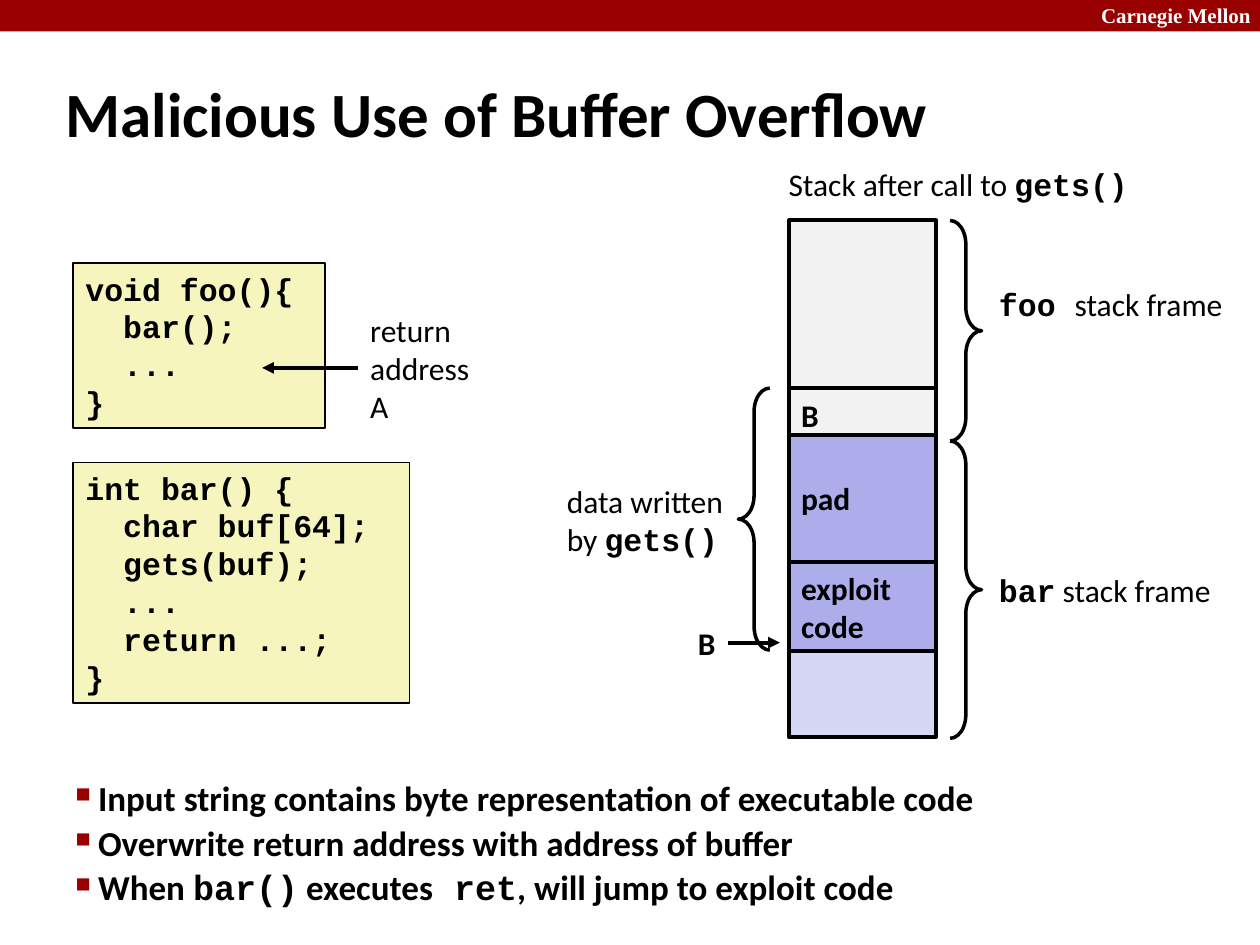
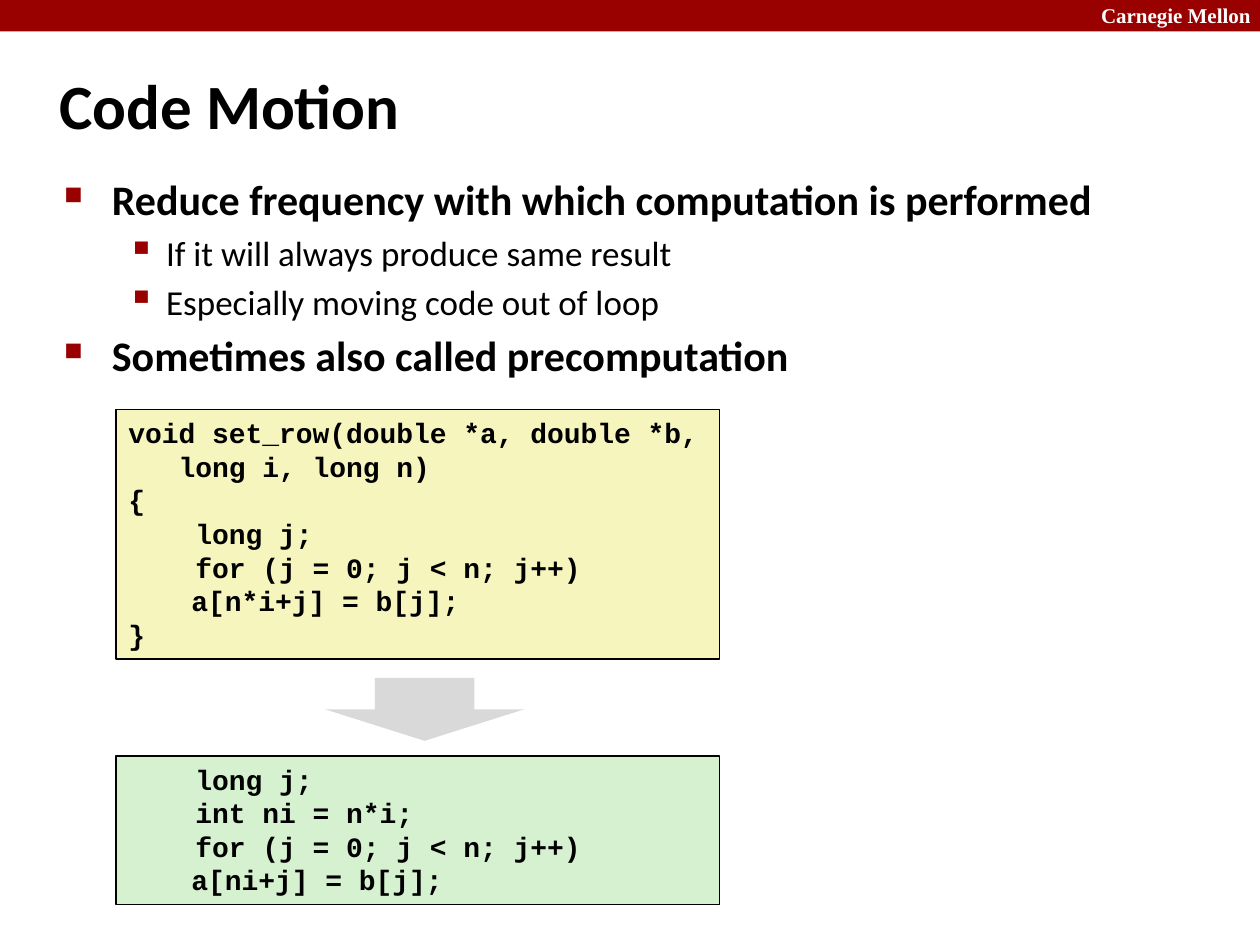
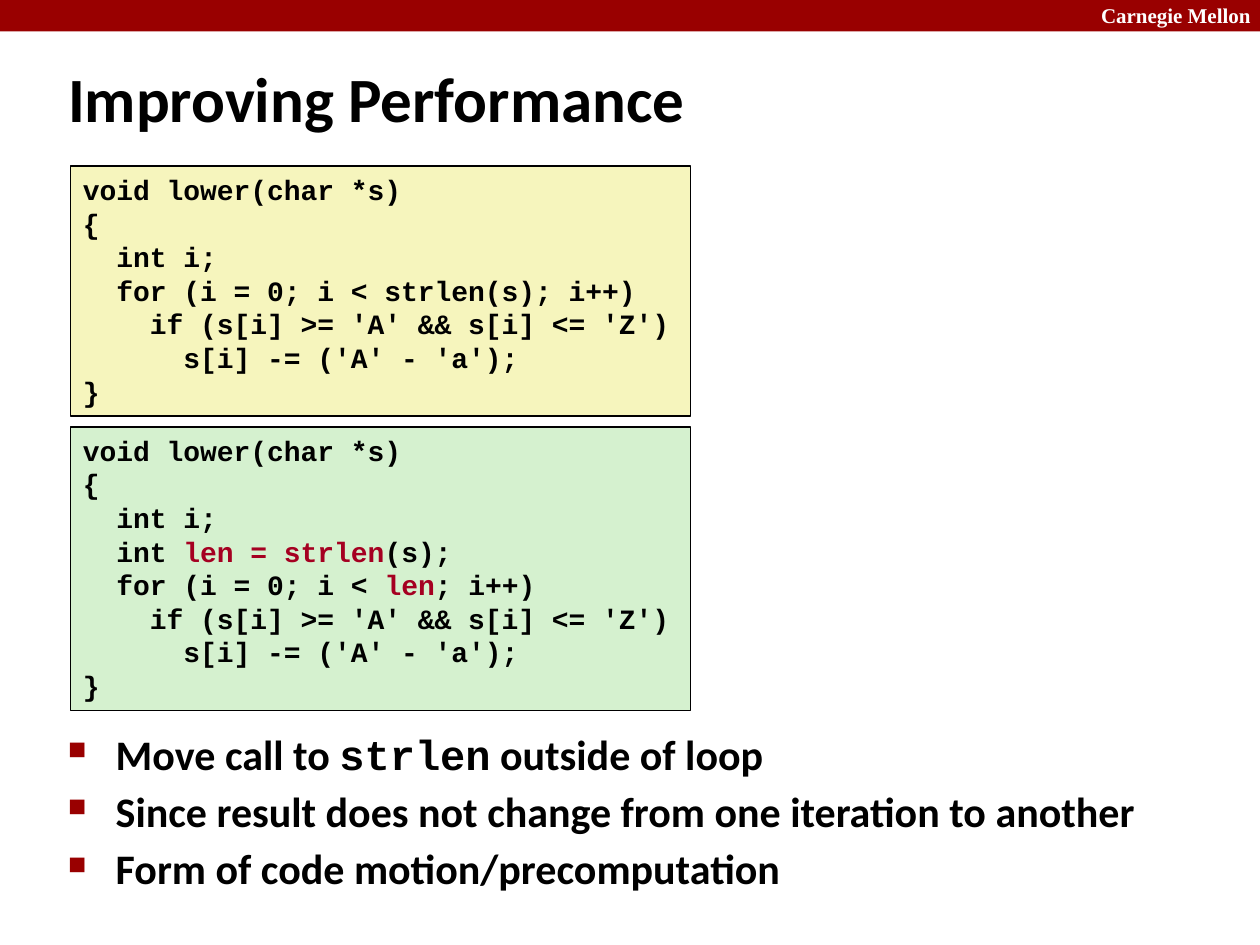
"""Build three lecture slides on buffer overflow and code motion."""
from typing import NamedTuple, Optional

from lxml.etree import SubElement
from pptx import Presentation
from pptx.dml.color import RGBColor
from pptx.enum.shapes import MSO_CONNECTOR, MSO_SHAPE
from pptx.enum.text import MSO_ANCHOR, MSO_AUTO_SIZE, PP_ALIGN
from pptx.oxml.ns import qn
from pptx.util import Pt

PX = 9144
SANS, MONO, SERIF = "Calibri", "Courier New", "Times New Roman"
COLORS = {
    "band": "990000", "white": "FFFFFF", "black": "000000", "accent": "A50021",
    "yellow": "F6F5BD", "green": "D5F1CF", "gray": "F2F2F2", "arrow": "D9D9D9",
    "buffer": "ADADEB", "free": "D6D6F5",
}
CODE_ALT = {"font": MONO, "bold": True}
TEXT_ALT = {"font": SANS, "bold": False}


class Box(NamedTuple):
    """A position and size in px."""
    x: int
    y: int
    w: int
    h: int


class Level(NamedTuple):
    """The look of one bullet level."""
    char: str
    percent: int
    margin: int
    hanging: int
    size: int
    bold: bool


class Code(NamedTuple):
    """A framed block of code."""
    box: Box
    fill: str
    size: int
    lines: list[str]


class Cell(NamedTuple):
    """One region of the stack column."""
    top: int
    height: int
    fill: str
    lines: list[str]


class Label(NamedTuple):
    """A caption whose marked parts take another format."""
    box: Box
    lines: list[str]
    font: str = SANS
    bold: bool = False
    alt: dict = CODE_ALT
    wrap: bool = False
    anchor: MSO_ANCHOR = MSO_ANCHOR.MIDDLE


class Brace(NamedTuple):
    """A curly brace."""
    box: Box
    rotation: int


TOP = Level("■", 60, 38, 38, 24, True)
SUB = Level("▪", 110, 81, 31, 20, False)
TIGHT = Level("■", 60, 18, 18, 20, True)


def emu(box: Box) -> list[int]:
    """Turn a box into EMU."""
    return [v * PX for v in box]


def rgb(name: str) -> RGBColor:
    """Look up a colour."""
    return RGBColor.from_string(COLORS[name])


def add_bullet(p, level: Level) -> None:
    """Give a paragraph its bullet and indent."""
    pPr = p._p.get_or_add_pPr()
    pPr.set("marL", str(level.margin * PX))
    pPr.set("indent", str(-level.hanging * PX))
    clr = SubElement(pPr, qn("a:buClr"))
    SubElement(clr, qn("a:srgbClr"), val=COLORS["band"])
    SubElement(pPr, qn("a:buSzPct"), val=str(level.percent * 1000))
    SubElement(pPr, qn("a:buChar"), char=level.char)


def add_runs(p, text: str, *, size: int, font: str = SANS, bold: bool = False,
             color: str = "black", alt: Optional[dict] = None) -> None:
    """Write text, giving the parts between backticks the alt format."""
    base = {"font": font, "bold": bold, "color": color}
    for i, part in enumerate(text.split("`")):
        if not part:
            continue
        fmt = {**base, **(alt or {})} if i % 2 else base
        r = p.add_run()
        r.text = part
        r.font.size = Pt(size)
        r.font.name = fmt["font"]
        r.font.bold = fmt["bold"]
        r.font.color.rgb = rgb(fmt["color"])


def write(sp, lines: list[str], *, anchor: MSO_ANCHOR = MSO_ANCHOR.TOP,
          wrap: bool = True, **fmt) -> None:
    """Fill a shape with left-aligned lines."""
    tf = sp.text_frame
    tf.word_wrap = wrap
    tf.auto_size = MSO_AUTO_SIZE.NONE
    tf.vertical_anchor = anchor
    for i, line in enumerate(lines):
        p = tf.add_paragraph() if i else tf.paragraphs[0]
        p.alignment = PP_ALIGN.LEFT
        add_runs(p, line, **fmt)


def add_shape(s, kind: MSO_SHAPE, box: Box, fill: Optional[str] = None,
              width: float = 0):
    """Draw a flat preset shape."""
    sp = s.shapes.add_shape(kind, *emu(box))
    sp.shadow.inherit = False
    if fill:
        sp.fill.solid()
        sp.fill.fore_color.rgb = rgb(fill)
    else:
        sp.fill.background()
    if width:
        sp.line.color.rgb = rgb("black")
        sp.line.width = Pt(width)
    else:
        sp.line.fill.background()
    return sp


def add_code(s, code: Code) -> None:
    """Draw a code block."""
    sp = add_shape(s, MSO_SHAPE.RECTANGLE, code.box, code.fill, 1)
    write(sp, code.lines, size=code.size, font=MONO, bold=True,
          alt={"color": "accent"})


def add_label(s, label: Label):
    """Draw a caption."""
    sp = s.shapes.add_textbox(*emu(label.box))
    write(sp, label.lines, size=18, font=label.font, bold=label.bold,
          alt=label.alt, wrap=label.wrap, anchor=label.anchor)
    return sp


def add_arrow(s, label, side: int, x: int, y: int) -> None:
    """Draw an arrow from the side of a label to a point."""
    cx = s.shapes.add_connector(MSO_CONNECTOR.STRAIGHT, label.left, y * PX,
                                x * PX, y * PX)
    cx.begin_connect(label, side)
    cx.line.color.rgb = rgb("black")
    cx.line.width = Pt(2.25)
    SubElement(cx.line._get_or_add_ln(), qn("a:tailEnd"), type="triangle")
    SubElement(cx._element.spPr, qn("a:effectLst"))


def add_bullets(s, box: Box, items: list[tuple[Level, str]],
                anchor: MSO_ANCHOR = MSO_ANCHOR.TOP,
                spacing: Optional[float] = None) -> None:
    """Write a bulleted list."""
    tf = s.shapes.add_textbox(*emu(box)).text_frame
    tf.word_wrap = True
    tf.vertical_anchor = anchor
    for i, (level, text) in enumerate(items):
        p = tf.add_paragraph() if i else tf.paragraphs[0]
        add_bullet(p, level)
        p.line_spacing = spacing
        if i:
            p.space_before = Pt(4)
        add_runs(p, text, size=level.size, bold=level.bold,
                 alt={"font": MONO})


def add_slide(prs, title: str, box: Box):
    """Add a title-only slide with its title in place."""
    s = prs.slides.add_slide(prs.slide_layouts[5])
    sp = s.shapes.title
    sp.left, sp.top, sp.width, sp.height = emu(box)
    write(sp, [title], size=36, bold=True, anchor=MSO_ANCHOR.MIDDLE)
    return s


def add_band(prs, s) -> None:
    """Draw the top band and move it to the master."""
    band = add_shape(s, MSO_SHAPE.RECTANGLE, Box(0, 0, 1000, 25), "band")
    name = s.shapes.add_textbox(*emu(Box(864, -3, 143, 30)))
    write(name, ["Carnegie Mellon"], size=12, font=SERIF, bold=True,
          color="white")
    for i, sp in enumerate((band, name), start=101):
        sp.element.nvSpPr.cNvPr.set("id", str(i))
        prs.slide_master.shapes.element.append(sp.element)


def build_overflow(prs) -> None:
    """Build the buffer overflow slide."""
    s = add_slide(prs, "Malicious Use of Buffer Overflow", Box(42, 58, 908, 63))
    add_band(prs, s)
    add_bullets(s, Box(50, 608, 903, 125), [
        (TIGHT, "Input string contains byte representation of executable code"),
        (TIGHT, "Overwrite return address with address of buffer"),
        (TIGHT, "When `bar()` executes` ret`, will jump to exploit code"),
    ], MSO_ANCHOR.MIDDLE, 0.9)
    add_code(s, Code(Box(58, 367, 267, 191), "yellow", 18, [
        "int bar() {", "  char buf[64];", "  gets(buf);", "  ...",
        "  return ...;", "}"]))
    add_code(s, Code(Box(58, 209, 200, 131), "yellow", 18, [
        "void foo(){", "  bar();", "  ...", "}"]))

    for cell in (
        Cell(308, 42, "gray", ["B"]),
        Cell(175, 133, "gray", []),
        Cell(517, 68, "free", []),
        Cell(446, 71, "buffer", ["exploit", "code"]),
        Cell(345, 101, "buffer", ["pad"]),
    ):
        sp = add_shape(s, MSO_SHAPE.RECTANGLE,
                       Box(626, cell.top, 117, cell.height), cell.fill, 2.25)
        write(sp, cell.lines, size=18, bold=True, anchor=MSO_ANCHOR.MIDDLE)

    for label in (
        Label(Box(616, 126, 292, 40), ["Stack after call to `gets()`"],
              anchor=MSO_ANCHOR.TOP),
        Label(Box(783, 221, 199, 40), ["foo `stack frame`"], MONO, True,
              TEXT_ALT),
        Label(Box(783, 448, 190, 40), ["bar` stack frame`"], MONO, True,
              TEXT_ALT),
        Label(Box(440, 377, 150, 71), ["data written", "by `gets()`"],
              wrap=True),
    ):
        add_label(s, label)

    ret = add_label(s, Label(Box(284, 242, 100, 100),
                             ["return", "address", "A"]))
    add_arrow(s, ret, 1, 208, 292)
    start = add_label(s, Label(Box(544, 490, 34, 40), ["B"], bold=True))
    add_arrow(s, start, 3, 619, 510)

    for brace in (
        Brace(Box(754, 175, 25, 175), 180),
        Brace(Box(754, 350, 25, 236), 180),
        Brace(Box(586, 308, 25, 208), 0),
    ):
        sp = add_shape(s, MSO_SHAPE.LEFT_BRACE, brace.box, width=2)
        sp.adjustments[0] = 0.75
        sp.rotation = brace.rotation


def build_motion(prs) -> None:
    """Build the code motion slide."""
    s = add_slide(prs, "Code Motion", Box(37, 25, 913, 116))
    add_bullets(s, Box(41, 133, 909, 283), [
        (TOP, "Reduce frequency with which computation is performed"),
        (SUB, "If it will always produce same result"),
        (SUB, "Especially moving code out of loop"),
        (TOP, "Sometimes also called precomputation"),
    ])
    add_code(s, Code(Box(92, 600, 479, 118), "green", 16, [
        "    long j;", "    int ni = n*i;", "    for (j = 0; j < n; j++)",
        "\ta[ni+j] = b[j];"]))
    add_code(s, Code(Box(92, 325, 479, 198), "yellow", 16, [
        "void set_row(double *a, double *b,", "   long i, long n)", "{",
        "    long j;", "    for (j = 0; j < n; j++)",
        "\ta[n*i+j] = b[j];", "}"]))
    add_shape(s, MSO_SHAPE.DOWN_ARROW, Box(258, 538, 158, 50), "arrow")


def build_performance(prs) -> None:
    """Build the improving performance slide."""
    s = add_slide(prs, "Improving Performance", Box(44, 46, 681, 63))
    add_bullets(s, Box(44, 573, 909, 160), [
        (TOP, "Move call to `strlen` outside of loop"),
        (TOP, "Since result does not change from one iteration to another"),
        (TOP, "Form of code motion/precomputation"),
    ])
    head = ["void lower(char *s)", "{", "  int i;"]
    tail = ["    if (s[i] >= 'A' && s[i] <= 'Z')",
            "      s[i] -= ('A' - 'a');", "}"]
    slow = ["  for (i = 0; i < strlen(s); i++)"]
    fast = ["  int `len = strlen`(s);", "  for (i = 0; i <` len`; i++)"]
    add_code(s, Code(Box(56, 339, 492, 225), "green", 16, head + fast + tail))
    add_code(s, Code(Box(56, 132, 492, 198), "yellow", 16, head + slow + tail))


def main() -> None:
    """Build and save the deck."""
    prs = Presentation()
    prs.slide_width, prs.slide_height = 1000 * PX, 750 * PX
    build_overflow(prs)
    build_motion(prs)
    build_performance(prs)
    prs.save("out.pptx")


if __name__ == "__main__":
    main()
